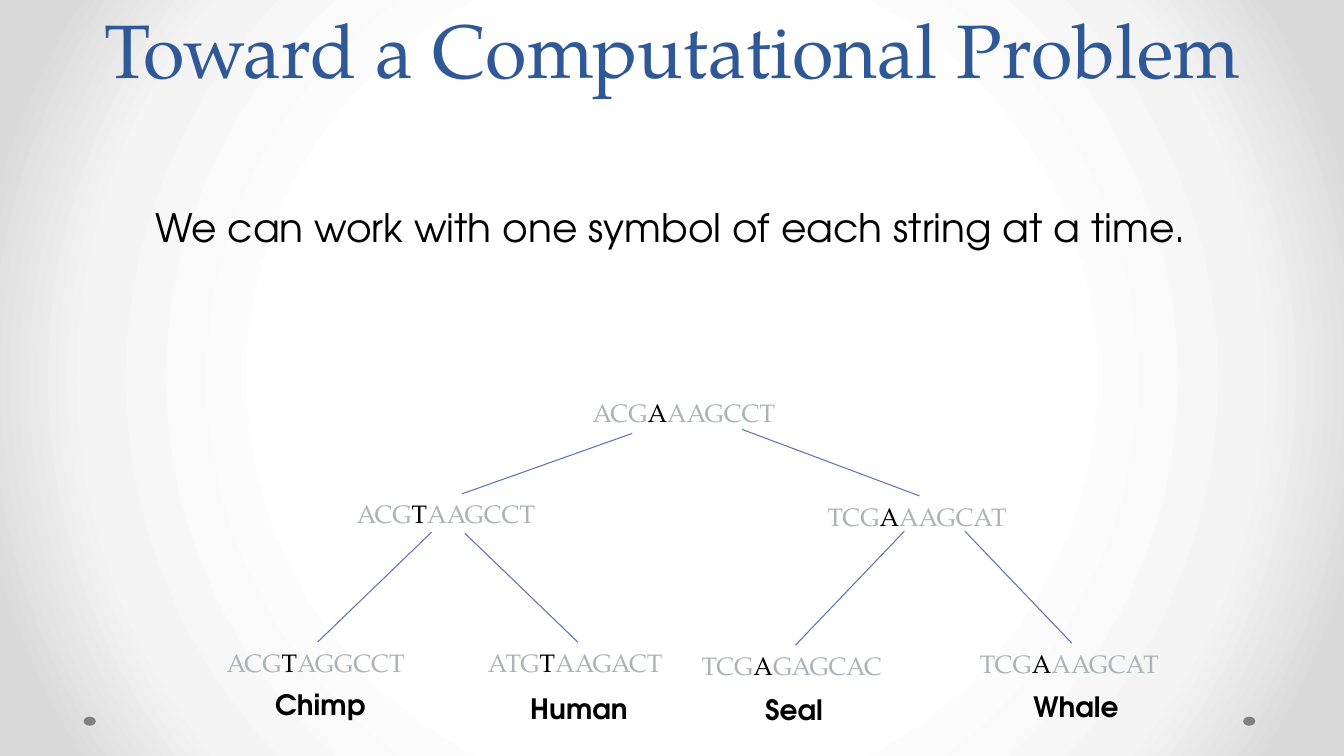
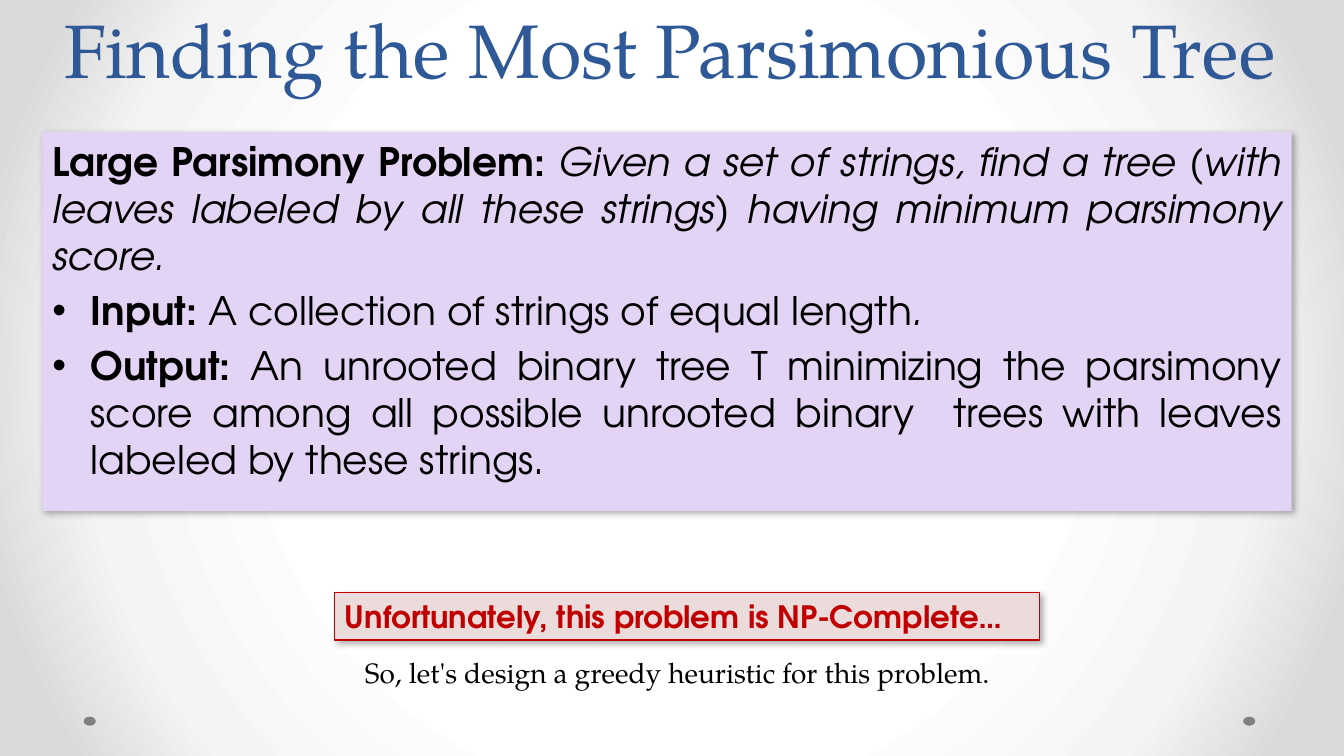
from dataclasses import dataclass

from pptx import Presentation
from pptx import util as u
from pptx.dml.color import RGBColor
from pptx.enum import shapes, text
from pptx.oxml import ns, parse_xml

NS = ns.nsdecls("a")
ALIGN = text.PP_ALIGN


@dataclass(frozen=True)
class Theme:
    serif: str = "TeX Gyre Pagella"
    sans: str = "TeX Gyre Adventor"
    title: str = "2F5897"
    ink: str = "000000"
    muted: str = "ACB3B6"
    edge: str = "5C72B2"
    dot: str = "808080"
    panel: str = "E3D3F5"
    alert: str = "C00000"
    alert_fill: str = "ECDBDB"
    backdrop: tuple = ((50, "FFFFFF"), (76, "F4F4F4"), (92, "DADADA"))
    title_size: int = 54
    body_size: int = 28
    alert_size: int = 22
    label_size: int = 20
    node_size: int = 18


T = Theme()


def rgb(value):
    return RGBColor.from_string(value)


def write(p, content, font=T.sans, size=T.body_size, color=T.ink,
          bold=False, italic=False, align=ALIGN.LEFT):
    p.alignment = align
    runs = [(content, {})] if isinstance(content, str) else content
    for words, own in runs:
        r = p.add_run()
        r.text = words
        r.font.name = font
        r.font.size = u.Pt(size)
        r.font.color.rgb = rgb(own.get("color", color))
        r.font.bold = own.get("bold", bold)
        r.font.italic = own.get("italic", italic)


def add_bullet(p):
    pPr = p._p.get_or_add_pPr()
    pPr.set("marL", str(u.Inches(0.38)))
    pPr.set("indent", str(-u.Inches(0.38)))
    pPr.append(parse_xml(f'<a:buFont {NS} typeface="Arial"/>'))
    pPr.append(parse_xml(f'<a:buChar {NS} char="•"/>'))


class Deck:
    def __init__(self):
        self.prs = Presentation()
        self.prs.slide_width = u.Inches(13.33)
        self.prs.slide_height = u.Inches(7.5)
        self.slide = None
        self.set_backdrop()

    def set_backdrop(self):
        master = self.prs.slide_master
        master.background.fill.gradient()
        old = master._element.find(".//" + ns.qn("p:bgPr")).find(ns.qn("a:gradFill"))
        stops = "".join(
            f'<a:gs pos="{pos * 1000}"><a:srgbClr val="{color}"/></a:gs>'
            for pos, color in T.backdrop)
        old.getparent().replace(old, parse_xml(
            f'<a:gradFill {NS} rotWithShape="1"><a:gsLst>{stops}</a:gsLst>'
            '<a:path path="circle"><a:fillToRect l="50000" t="50000" '
            'r="50000" b="50000"/></a:path></a:gradFill>'))

    def new_slide(self, title, left=0.67, width=12):
        self.slide = self.prs.slides.add_slide(self.prs.slide_layouts[5])
        for x in (0.83, 12.33):
            self.shape(x, 7.11, 0.12, 0.09, T.dot, kind=shapes.MSO_SHAPE.OVAL)
        sp = self.slide.shapes.title
        sp.left, sp.top = u.Inches(left), u.Inches(0)
        sp.width, sp.height = u.Inches(width), u.Inches(0.98)
        tf = sp.text_frame
        tf.auto_size = text.MSO_AUTO_SIZE.NONE
        tf.vertical_anchor = text.MSO_ANCHOR.BOTTOM
        p = tf.paragraphs[0]
        p.line_spacing = u.Pt(58)
        write(p, title, font=T.serif, size=T.title_size, color=T.title,
              align=ALIGN.CENTER)

    def shape(self, left, top, width, height, fill, line=None, shadow=False,
              kind=shapes.MSO_SHAPE.RECTANGLE):
        sp = self.slide.shapes.add_shape(
            kind, *map(u.Inches, (left, top, width, height)))
        sp.shadow.inherit = False
        sp.fill.solid()
        sp.fill.fore_color.rgb = rgb(fill)
        if line:
            sp.line.color.rgb = rgb(line)
            sp.line.width = u.Pt(0.75)
        else:
            sp.line.fill.background()
        if shadow:
            effects = sp._element.spPr.find(ns.qn("a:effectLst"))
            effects.append(parse_xml(
                f'<a:outerShdw {NS} blurRad="{u.Pt(4.5)}" dist="{u.Pt(2.6)}" '
                f'dir="{53 * 60000}" algn="tl" rotWithShape="0">'
                f'<a:srgbClr val="{T.ink}"><a:alpha val="30000"/></a:srgbClr>'
                '</a:outerShdw>'))
        tf = sp.text_frame
        tf.word_wrap = True
        tf.vertical_anchor = text.MSO_ANCHOR.TOP
        return sp

    def label(self, left, top, width, height, content, **fmt):
        sp = self.slide.shapes.add_textbox(
            *map(u.Inches, (left, top, width, height)))
        sp.text_frame.word_wrap = False
        sp.text_frame.auto_size = text.MSO_AUTO_SIZE.SHAPE_TO_FIT_TEXT
        write(sp.text_frame.paragraphs[0], content, **fmt)
        return sp

    def node(self, left, top, width, sequence):
        runs = [(sequence[:3], {}), (sequence[3], {"color": T.ink}),
                (sequence[4:], {})]
        return self.label(left, top, width, 0.4, runs, font=T.serif,
                          size=T.node_size, color=T.muted)

    def edge(self, start, end, child=None):
        line = self.slide.shapes.add_connector(
            shapes.MSO_CONNECTOR.STRAIGHT, *map(u.Inches, start + end))
        line.line.color.rgb = rgb(T.edge)
        line.line.width = u.Pt(0.75)
        line._element.spPr.append(parse_xml(f'<a:effectLst {NS}/>'))
        if child is not None:
            line.end_connect(child, 0)


def symbol_slide(deck):
    deck.new_slide("Toward a Computational Problem")
    deck.label(1.44, 1.97, 10.56, 0.57,
               "We can work with one symbol of each string at a time.")
    deck.node(5.78, 3.89, 2.06, "ACGAAAGCCT")
    deck.node(3.44, 4.89, 2.01, "ACGTAAGCCT")
    right = deck.node(8.11, 4.92, 2.02, "TCGAAAGCAT")
    deck.edge((6.27, 4.3), (4.58, 4.9))
    deck.edge((7.36, 4.26), (9.08, 4.9), right)
    leaves = [
        (2.15, 6.37, 2, "ACGTAGGCCT", (4.28, 5.28), "Chimp", 2.63, 6.77, 1.1),
        (4.74, 6.37, 1.98, "ATGTAAGACT", (4.61, 5.29), "Human", 5.16, 6.81, 1.18),
        (6.86, 6.4, 2.06, "TCGAGAGCAC", (8.97, 5.27), "Seal", 7.49, 6.82, 0.78),
        (9.62, 6.38, 2.02, "TCGAAAGCAT", (9.57, 5.27), "Whale", 10.15, 6.79, 1.05),
    ]
    for left, top, width, sequence, start, name, name_x, name_y, name_w in leaves:
        leaf = deck.node(left, top, width, sequence)
        deck.edge(start, (left + width / 2, top), leaf)
        deck.label(name_x, name_y, name_w, 0.44, name, size=T.label_size, bold=True)


def parsimony_slide(deck):
    deck.new_slide("Finding the Most Parsimonious Tree", left=0.31, width=12.67)
    bold, italic = {"bold": True}, {"italic": True}
    statement = [
        [("Large Parsimony Problem: ", bold),
         ("Given a set of strings, find a tree (with leaves labeled by all "
          "these strings) having minimum parsimony score.", italic)],
        [("Input: ", bold), ("A collection of strings of equal length", {}),
         (".", italic)],
        [("Output: ", bold),
         ("An unrooted binary tree T minimizing the parsimony score among all "
          "possible unrooted binary  trees with leaves labeled by these "
          "strings.", {})],
    ]
    tf = deck.shape(0.42, 1.31, 12.39, 3.76, T.panel, shadow=True).text_frame
    for i, runs in enumerate(statement):
        p = tf.add_paragraph() if i else tf.paragraphs[0]
        if i:
            add_bullet(p)
            p.space_before = u.Pt(5.6)
        write(p, runs, align=ALIGN.JUSTIFY)
    alert = deck.shape(3.32, 5.88, 6.99, 0.47, T.alert_fill, line=T.alert,
                       shadow=True)
    write(alert.text_frame.paragraphs[0],
          "Unfortunately, this problem is NP-Complete…",
          size=T.alert_size, color=T.alert, bold=True)
    deck.label(3.52, 6.45, 6.46, 0.44,
               "So, let's design a greedy heuristic for this problem.",
               font=T.serif, size=T.label_size)


def main():
    deck = Deck()
    symbol_slide(deck)
    parsimony_slide(deck)
    deck.prs.save("out.pptx")


if __name__ == "__main__":
    main()
